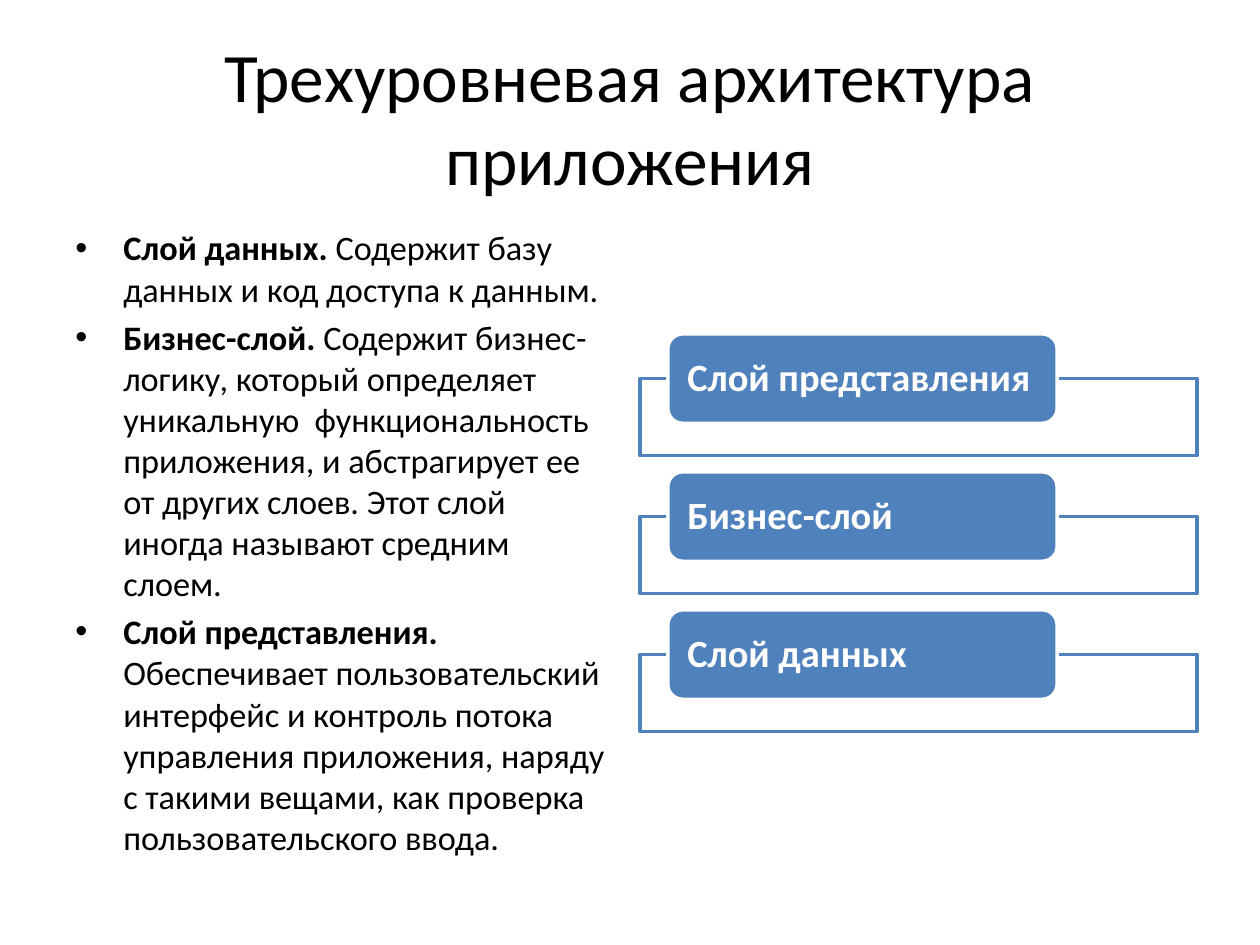
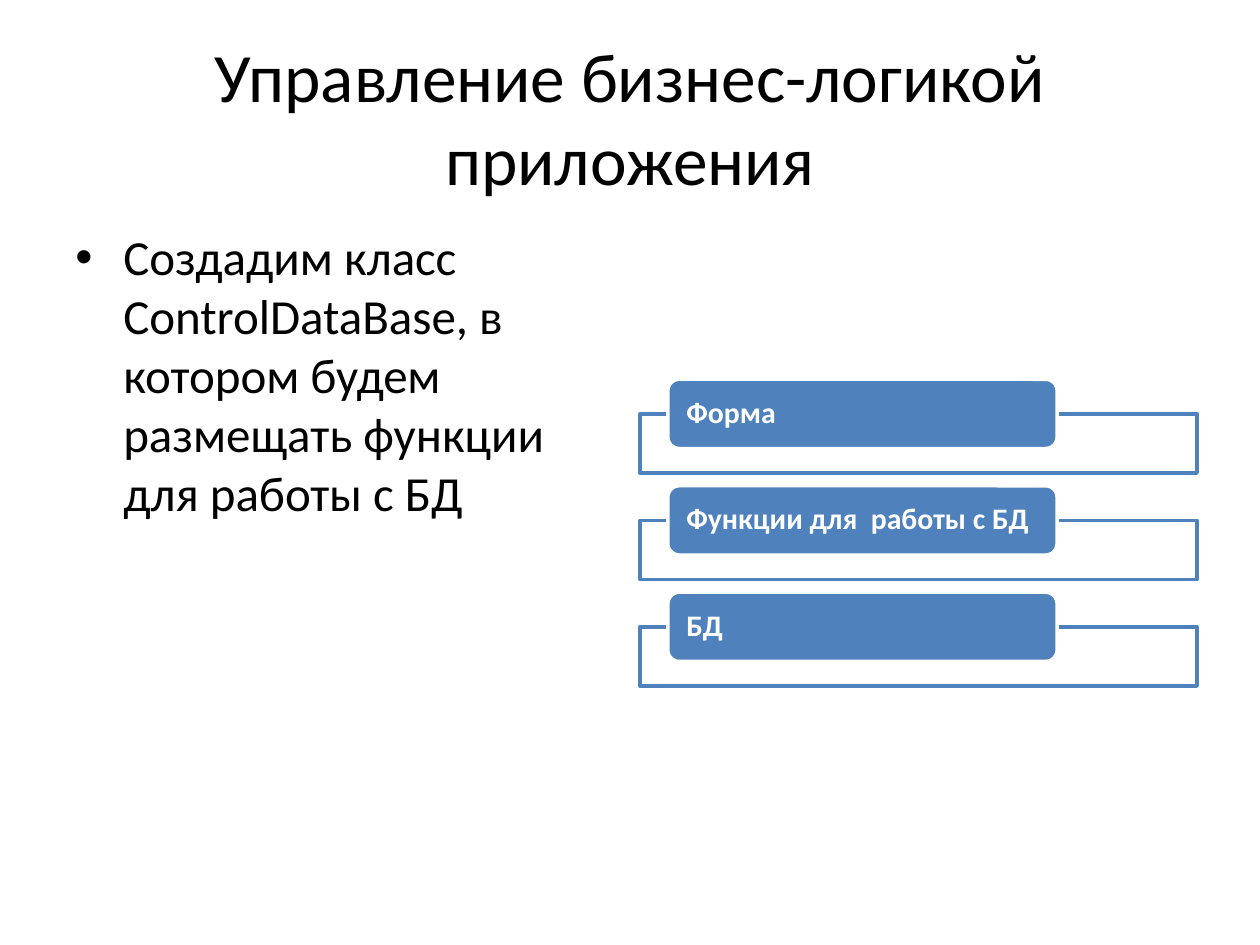
import pptx
import pptx.util
import pptx.dml.color
import pptx.enum.shapes
import pptx.enum.text
import pptx.oxml
from pptx.oxml.ns import nsdecls

Inches = pptx.util.Inches
Pt = pptx.util.Pt
SHAPE = pptx.enum.shapes.MSO_SHAPE
ALIGN = pptx.enum.text.PP_ALIGN
ANCHOR = pptx.enum.text.MSO_ANCHOR

SLIDES = [
    {
        "title": "Трехуровневая архитектура приложения",
        "size": 19.6,
        "bullets": [
            ("Слой данных.", " Содержит базу данных и код доступа к данным."),
            ("Бизнес-слой.", " Содержит бизнес-логику, который определяет уникальную  "
             "функциональность приложения, и абстрагирует ее от других слоев. "
             "Этот слой  иногда называют средним слоем."),
            ("Слой представления.", " Обеспечивает пользовательский интерфейс и контроль "
             "потока управления приложения, наряду с такими вещами, как проверка  "
             "пользовательского ввода."),
        ],
        "layers": ["Слой представления", "Бизнес-слой", "Слой данных"],
        "stack": {"top": 2.65, "label_h": 0.71, "frame_h": 0.61, "gap": 0.13, "size": 22},
    },
    {
        "title": "Управление бизнес-логикой приложения",
        "size": 28,
        "bullets": [
            ("", "Создадим класс ControlDataBase, в котором будем размещать функции "
             "для работы с БД"),
        ],
        "layers": ["Форма", "Функции для  работы с БД", "БД"],
        "stack": {"top": 3.01, "label_h": 0.55, "frame_h": 0.47, "gap": 0.1, "size": 17},
    },
]
FONT = "Calibri"
BLACK, WHITE, BLUE = "000000", "FFFFFF", "4F81BD"
MARGIN, COLUMN_W, STACK_X = 0.5, 4.42, 5.08
LABEL_X, LABEL_W = 5.3, 3.09


def rgb(color):
    return pptx.dml.color.RGBColor.from_string(color)


def add_run(p, text, size, color=BLACK, bold=False):
    r = p.add_run()
    r.text = text
    r.font.name = FONT
    r.font.size = Pt(size)
    r.font.bold = bold
    r.font.color.rgb = rgb(color)


def add_title(s, text):
    sp = s.shapes.title
    sp.left, sp.top, sp.width, sp.height = map(Inches, (MARGIN, 0.3, 9, 1.25))
    tf = sp.text_frame
    tf.vertical_anchor = ANCHOR.MIDDLE
    p = tf.paragraphs[0]
    p.alignment = ALIGN.CENTER
    add_run(p, text, 39.6)


def add_bullets(s, bullets, size):
    tf = s.shapes.add_textbox(*map(Inches, (MARGIN, 1.75, COLUMN_W, 4.95))).text_frame
    tf.word_wrap = True
    for i, (term, text) in enumerate(bullets):
        p = tf.add_paragraph() if i else tf.paragraphs[0]
        pPr = p._p.get_or_add_pPr()
        pPr.set("marL", str(Inches(0.38)))
        pPr.set("indent", str(-Inches(0.38)))
        pPr.append(pptx.oxml.parse_xml(f'<a:buFont {nsdecls("a")} typeface="Arial"/>'))
        pPr.append(pptx.oxml.parse_xml(f'<a:buChar {nsdecls("a")} char="•"/>'))
        p.space_before = Pt(round(size * 0.2, 1) if i else 0)
        if term:
            add_run(p, term, size, bold=True)
        add_run(p, text, size)


def add_box(s, kind, box, fill, line):
    sp = s.shapes.add_shape(kind, *map(Inches, box))
    sp.shadow.inherit = False
    sp.fill.solid()
    sp.fill.fore_color.rgb = rgb(fill)
    sp.line.color.rgb = rgb(line)
    sp.line.width = Pt(2)
    return sp


def add_stack(s, layers, top, label_h, frame_h, gap, size):
    pitch = label_h / 2 + frame_h + gap
    for i, layer in enumerate(layers):
        y = top + i * pitch
        add_box(s, SHAPE.RECTANGLE, (STACK_X, y + label_h / 2, COLUMN_W, frame_h), WHITE, BLUE)
        sp = add_box(s, SHAPE.ROUNDED_RECTANGLE, (LABEL_X, y, LABEL_W, label_h), BLUE, WHITE)
        tf = sp.text_frame
        tf.word_wrap = True
        tf.vertical_anchor = ANCHOR.MIDDLE
        tf.margin_left, tf.margin_right = Inches(0.12), Inches(0.08)
        tf.margin_top = tf.margin_bottom = 0
        p = tf.paragraphs[0]
        p.alignment = ALIGN.LEFT
        p.line_spacing = 0.9
        add_run(p, layer, size, WHITE, True)


def main():
    prs = pptx.Presentation()
    prs.slide_width, prs.slide_height = Inches(10), Inches(7.5)
    for content in SLIDES:
        s = prs.slides.add_slide(prs.slide_layouts[5])
        add_title(s, content["title"])
        add_bullets(s, content["bullets"], content["size"])
        add_stack(s, content["layers"], **content["stack"])
    prs.save("out.pptx")


if __name__ == "__main__":
    main()
